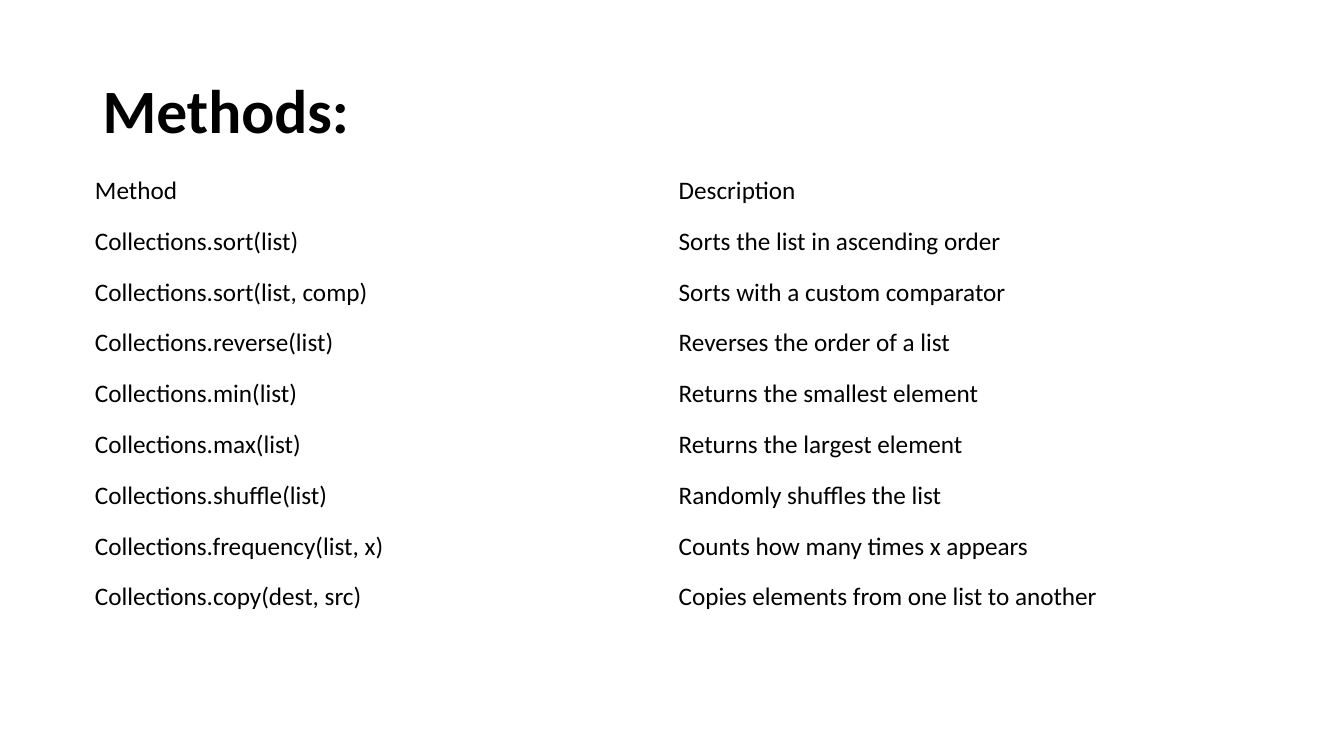
import dataclasses

import pptx
import pptx.dml.color
import pptx.enum.text
import pptx.util
from pptx.util import Cm


@dataclasses.dataclass(frozen=True)
class Theme:
    font: str = "Calibri"
    ink: str = "000000"
    title_size: int = 44
    table_size: int = 18


theme = Theme()


def write_text(frame, text, *, size, bold=False, line_spacing=1.0):
    frame.word_wrap = True
    frame.vertical_anchor = pptx.enum.text.MSO_ANCHOR.MIDDLE
    para = frame.paragraphs[0]
    para.alignment = pptx.enum.text.PP_ALIGN.LEFT
    para.line_spacing = line_spacing
    span = para.add_run()
    span.text = text
    span.font.name = theme.font
    span.font.size = pptx.util.Pt(size)
    span.font.bold = bold
    span.font.color.rgb = pptx.dml.color.RGBColor.from_string(theme.ink)


# Slide with a title only
deck = pptx.Presentation()
deck.slide_width, deck.slide_height = Cm(33.87), Cm(19.05)
page = deck.slides.add_slide(deck.slide_layouts[5])

# Title
title = page.shapes.title
title.left, title.top, title.width, title.height = Cm(2.33), Cm(1.01), Cm(29.21), Cm(3.68)
title.text_frame.auto_size = pptx.enum.text.MSO_AUTO_SIZE.NONE
write_text(title.text_frame, "Methods:", size=theme.title_size, bold=True, line_spacing=0.9)

# Table of methods
methods = [
    ("Method", "Description"),
    ("Collections.sort(list)", "Sorts the list in ascending order"),
    ("Collections.sort(list, comp)", "Sorts with a custom comparator"),
    ("Collections.reverse(list)", "Reverses the order of a list"),
    ("Collections.min(list)", "Returns the smallest element"),
    ("Collections.max(list)", "Returns the largest element"),
    ("Collections.shuffle(list)", "Randomly shuffles the list"),
    ("Collections.frequency(list, x)", "Counts how many times x appears"),
    ("Collections.copy(dest, src)", "Copies elements from one list to another"),
]
row_height = Cm(1.28)
table = page.shapes.add_table(
    len(methods), 2, Cm(2.14), Cm(4.17), Cm(29.42), row_height * len(methods)
).table
table.first_row = False
table.horz_banding = False

for row, texts in zip(table.rows, methods):
    row.height = row_height
    for cell, text in zip(row.cells, texts):
        cell.fill.background()
        cell.vertical_anchor = pptx.enum.text.MSO_ANCHOR.MIDDLE
        write_text(cell.text_frame, text, size=theme.table_size)

deck.save("out.pptx")
